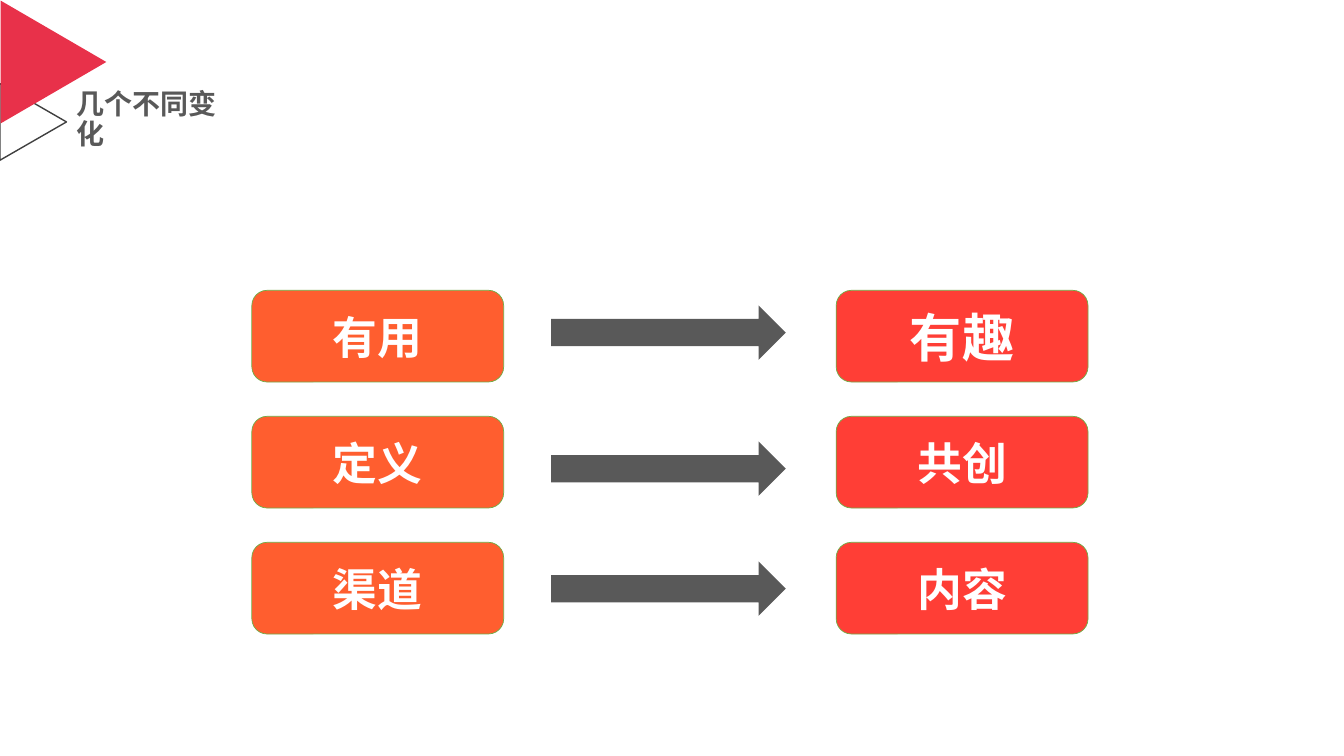
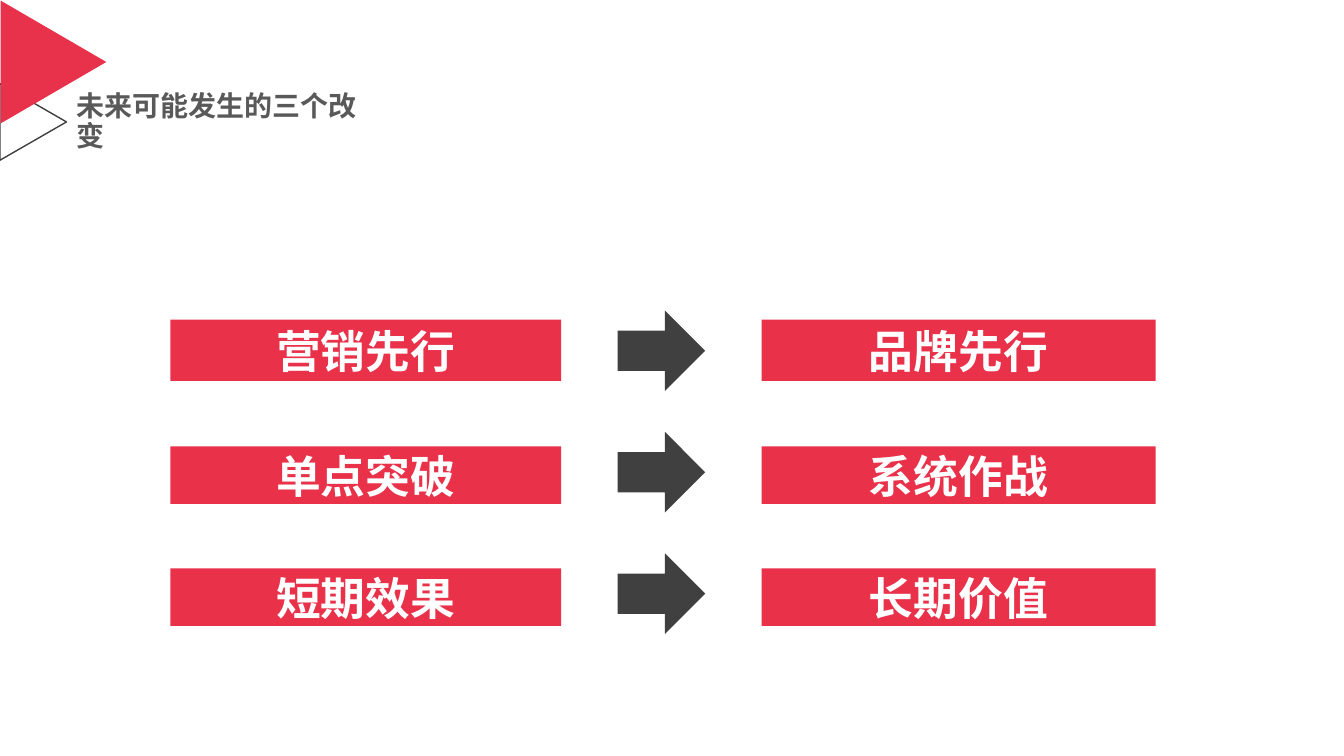
from lxml import etree
from pptx import Presentation
from pptx.dml.color import RGBColor
from pptx.enum.shapes import MSO_SHAPE
from pptx.enum.text import MSO_ANCHOR, MSO_AUTO_SIZE, PP_ALIGN
from pptx.oxml.ns import qn
from pptx.util import Inches, Pt

TRIANGLE = MSO_SHAPE.ISOSCELES_TRIANGLE
ROUNDED = MSO_SHAPE.ROUNDED_RECTANGLE
RECTANGLE = MSO_SHAPE.RECTANGLE
ARROW = MSO_SHAPE.RIGHT_ARROW
MIDDLE = MSO_ANCHOR.MIDDLE
GROW = MSO_AUTO_SIZE.SHAPE_TO_FIT_TEXT
LEFT, CENTER = PP_ALIGN.LEFT, PP_ALIGN.CENTER

WHITE = RGBColor(0xFF, 0xFF, 0xFF)
CRIMSON = RGBColor(0xE8, 0x31, 0x4A)
BAR_RED = RGBColor(0xE9, 0x31, 0x4A)
ORANGE = RGBColor(0xFF, 0x5E, 0x2F)
RED = RGBColor(0xFF, 0x3E, 0x36)
GREEN = RGBColor(0x70, 0xAD, 0x47)
GRAY = RGBColor(0x59, 0x59, 0x59)
DARK = RGBColor(0x40, 0x40, 0x40)

FONT = "Noto Sans CJK SC"
TITLE_SIZE, LABEL_SIZE, ACCENT_SIZE = 20, 32, 37.3
TITLE_LEFT, TITLE_HEIGHT, TITLE_INSET = 0.71, 0.41, 0.05

CHANGES = {
    "title": "几个不同变化",
    "title_top": 0.99,
    "shape": ROUNDED,
    "columns": ((2.5, 2.5, ORANGE), (8.3, 2.5, RED)),
    "rows": [(2.88 + 1.25 * row, 0.91) for row in range(3)],
    "outline": (GREEN, 0.5),
    "pairs": (("有用", "有趣"), ("定义", "共创"), ("渠道", "内容")),
    "sizes": {"有趣": ACCENT_SIZE},
    "arrow": (5.47, 2.33, 0.54, GRAY),
    "arrow_tops": (3.03, 4.38, 5.57),
}
FUTURE = {
    "title": "未来可能发生的三个改变",
    "title_top": 1.01,
    "shape": RECTANGLE,
    "columns": ((1.69, 3.88, BAR_RED), (7.56, 3.91, BAR_RED)),
    "rows": ((3.17, 0.61), (4.43, 0.57), (5.64, 0.57)),
    "outline": None,
    "pairs": (("营销先行", "品牌先行"), ("单点突破", "系统作战"), ("短期效果", "长期价值")),
    "sizes": {},
    "arrow": (6.13, 0.87, 0.8, DARK),
    "arrow_tops": [3.08 + 1.205 * row for row in range(3)],
}


def set_values(target, values):
    """Set each named attribute of the target."""
    for name, value in values.items():
        setattr(target, name, value)


def add_box(page, kind, area, fill=None, outline=None):
    """Add a preset shape with an optional fill and outline."""
    box = page.shapes.add_shape(kind, *map(Inches, area))
    box.shadow.inherit = False
    if fill is None:
        box.fill.background()
    else:
        box.fill.solid()
        box.fill.fore_color.rgb = fill
    if outline is None:
        box.line.fill.background()
    else:
        box.line.color.rgb, box.line.width = outline[0], Pt(outline[1])
    return box


def write_text(box, text, size, color, align):
    """Write one bold line, centred vertically in its box."""
    box.text_frame.vertical_anchor = MIDDLE
    para = box.text_frame.paragraphs[0]
    para.alignment = align
    span = para.add_run()
    span.text = text
    set_values(span.font, {"name": FONT, "size": Pt(size), "bold": True})
    span.font.color.rgb = color
    etree.SubElement(span._r.get_or_add_rPr(), qn("a:ea"), typeface=FONT)
    return para


def decorate_layout(layout, page):
    """Move the corner triangles from a page to the shared layout."""
    for holder in list(layout.placeholders):
        if holder.placeholder_format.idx:
            holder.element.getparent().remove(holder.element)
    triangles = (
        add_box(page, TRIANGLE, (-0.05, 0.88, 0.76, 0.66), outline=(DARK, 1)),
        add_box(page, TRIANGLE, (-0.08, 0.09, 1.22, 1.05), fill=CRIMSON),
    )
    for triangle in triangles:
        triangle.rotation = 90
        layout.shapes.element.append(triangle.element)


def add_title(page, text, top):
    """Place and format the title placeholder."""
    title = page.shapes.title
    width = len(text) * TITLE_SIZE / 72 + 2 * TITLE_INSET
    area = map(Inches, (TITLE_LEFT, top, width, TITLE_HEIGHT))
    set_values(title, dict(zip(("left", "top", "width", "height"), area)))
    sides = ("margin_left", "margin_top", "margin_right", "margin_bottom")
    set_values(title.text_frame, dict.fromkeys(sides, Inches(TITLE_INSET)))
    set_values(title.text_frame, {"word_wrap": False, "auto_size": GROW})
    para = write_text(title, text, TITLE_SIZE, GRAY, LEFT)
    para.line_spacing = 0.9


def add_comparison(page, content):
    """Draw each row as two labels with an arrow between them."""
    add_title(page, content["title"], content["title_top"])
    arrow_left, arrow_width, arrow_height, arrow_color = content["arrow"]
    rows = zip(content["rows"], content["pairs"], content["arrow_tops"])
    for (top, height), labels, arrow_top in rows:
        for (left, width, color), label in zip(content["columns"], labels):
            area = (left, top, width, height)
            box = add_box(page, content["shape"], area, color, content["outline"])
            size = content["sizes"].get(label, LABEL_SIZE)
            write_text(box, label, size, WHITE, CENTER)
        area = (arrow_left, arrow_top, arrow_width, arrow_height)
        add_box(page, ARROW, area, arrow_color)


def main():
    """Build and save the deck."""
    deck = Presentation()
    deck.slide_width, deck.slide_height = Inches(13.34), Inches(7.5)
    layout = deck.slide_layouts.get_by_name("Title Only")
    pages = [deck.slides.add_slide(layout) for _ in range(2)]
    decorate_layout(layout, pages[0])
    for page, content in zip(pages, (CHANGES, FUTURE)):
        add_comparison(page, content)
    deck.save("out.pptx")


if __name__ == "__main__":
    main()
